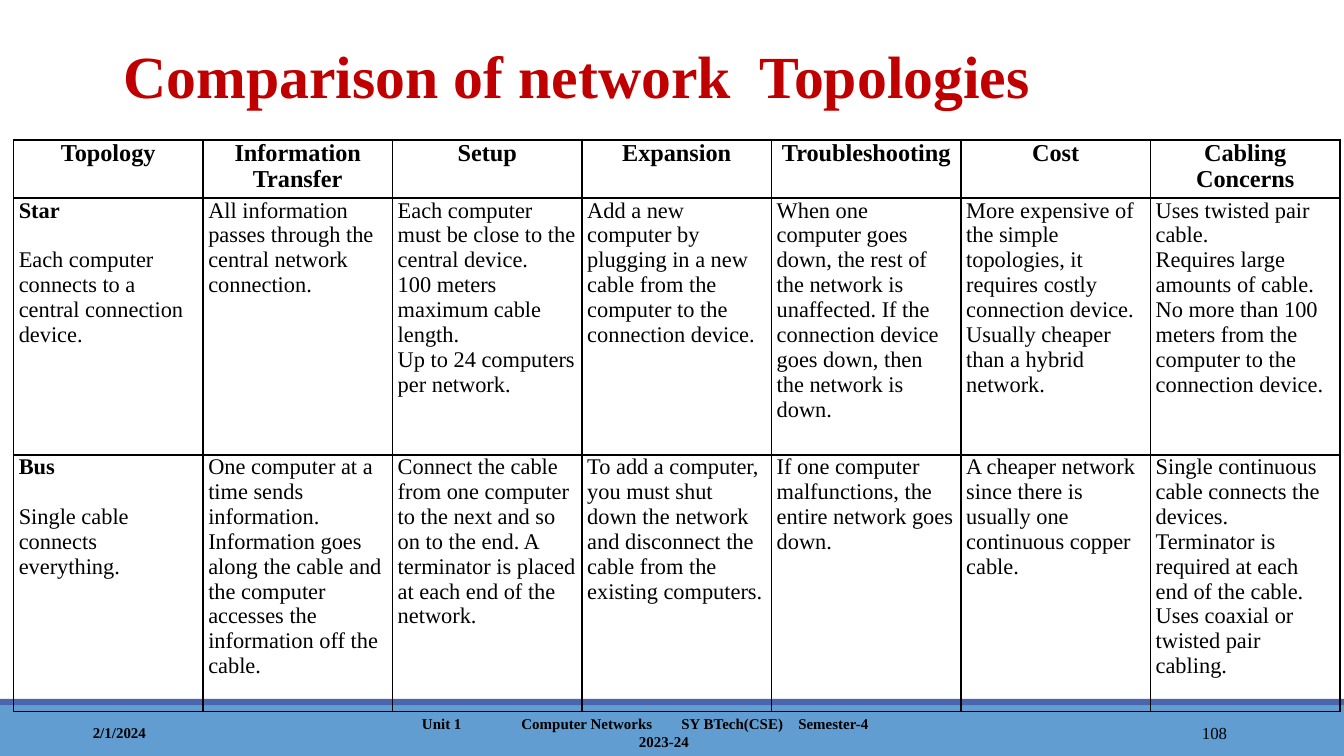
"""Build a slide that compares the star and bus network topologies."""
from dataclasses import dataclass

from lxml.etree import SubElement
from pptx import Presentation
from pptx.dml.color import RGBColor as Rgb
from pptx.enum.shapes import MSO_SHAPE as Kind
from pptx.enum.text import MSO_ANCHOR as Anchor, PP_ALIGN as Align
from pptx.oxml.ns import qn
from pptx.slide import Slide
from pptx.table import _Cell as Cell
from pptx.text.text import _Paragraph as Para
from pptx.util import Inches, Pt

HUES = {"band": "629DD1", "stripe": "4A66AC", "title": "C00000", "ink": "000000"}
FONT = "Times New Roman"
COLS = 7
WIDE = 1.41
TALL = [0.42, 1.91, 1.91]
TABS = [0.74, 1.93, 2.8]

HEADS = ["Topology", "Information Transfer", "Setup", "Expansion",
         "Troubleshooting", "Cost", "Cabling Concerns"]
STAR = [
    "Star\nEach computer connects to a central connection device.",
    "All information passes through the central network connection.",
    "Each computer must be close to the central device.\n"
    "100 meters maximum cable length.\nUp to 24 computers per network.",
    "Add a new computer by plugging in a new cable from the computer to the "
    "connection device.",
    "When one computer goes down, the rest of the network is unaffected. "
    "If the connection device goes down, then the network is down.",
    "More expensive of the simple topologies, it requires costly connection "
    "device. Usually cheaper than a hybrid network.",
    "Uses twisted pair cable.\nRequires large amounts of cable. No more than "
    "100 meters from the computer to the connection device.",
]
BUS = [
    "Bus\nSingle cable connects everything.",
    "One computer at a time sends information. Information goes along the "
    "cable and the computer accesses the information off the cable.",
    "Connect the cable from one computer to the next and so on to the end. "
    "A terminator is placed at each end of the network.",
    "To add a computer, you must shut down the network and disconnect the "
    "cable from the existing computers.",
    "If one computer malfunctions, the entire network goes down.",
    "A cheaper network since there is usually one continuous copper cable.",
    "Single continuous cable connects the devices.\nTerminator is required at "
    "each end of the cable.\nUses coaxial or twisted pair cabling.",
]


@dataclass
class Bar:
    """A full-width strip at the foot of the slide."""
    top: float
    high: float
    hue: str


@dataclass
class Label:
    """A text box and its look."""
    text: str
    left: float
    top: float
    wide: float
    high: float
    size: float
    hue: str = "ink"
    bold: bool = True
    align: Align = Align.LEFT
    anchor: Anchor = Anchor.MIDDLE


BARS = [Bar(5.25, 0.38, "band"), Bar(5.2, 0.05, "stripe")]
LABELS = [
    Label("108", 8.12, 5.3, 1.08, 0.3, 9, bold=False, align=Align.RIGHT),
    Label("Comparison of network  Topologies", 0.85, 0.25, 8.36, 0.93, 32,
          hue="title", anchor=Anchor.TOP),
    Label("2/1/2024", 0.62, 5.3, 2.25, 0.3, 8),
]
COURSE = Label("Unit 1\tComputer Networks\tSY BTech(CSE)\tSemester-4\n2023-24",
               3.07, 5.3, 3.74, 0.3, 8)


def style(para: Para, size: float, hue: str, bold: bool, align: Align) -> None:
    """Set the alignment of a paragraph and the font of its runs."""
    para.alignment = align
    for run in para.runs:
        font = run.font
        font.name, font.size, font.bold = FONT, Pt(size), bold
        font.color.rgb = Rgb.from_string(HUES[hue])


def add_bar(slide: Slide, bar: Bar) -> None:
    """Draw one strip."""
    rect = slide.shapes.add_shape(Kind.RECTANGLE, 0, Inches(bar.top),
                                  Inches(10), Inches(bar.high))
    rect.shadow.inherit = False
    rect.fill.solid()
    rect.fill.fore_color.rgb = Rgb.from_string(HUES[bar.hue])
    rect.line.fill.background()


def add_label(slide: Slide, label: Label) -> list[Para]:
    """Draw one text box and return its paragraphs."""
    box = slide.shapes.add_textbox(Inches(label.left), Inches(label.top),
                                   Inches(label.wide), Inches(label.high))
    frame = box.text_frame
    frame.word_wrap = True
    frame.vertical_anchor = label.anchor
    frame.margin_left = frame.margin_right = Inches(0.07)
    frame.margin_top = frame.margin_bottom = Inches(0.04)
    frame.text = label.text
    for para in frame.paragraphs:
        style(para, label.size, label.hue, label.bold, label.align)
    return list(frame.paragraphs)


def add_course(slide: Slide) -> None:
    """Draw the course line on tab stops, with the year centred below."""
    first, year = add_label(slide, COURSE)
    stops = SubElement(first._p.get_or_add_pPr(), qn("a:tabLst"))
    for stop in TABS:
        SubElement(stops, qn("a:tab"), pos=str(Inches(stop)), algn="l")
    year.alignment = Align.CENTER


def add_edges(cell: Cell) -> None:
    """Rule all four sides of a cell and clear its fill."""
    props = cell._tc.get_or_add_tcPr()
    for side in ("lnL", "lnR", "lnT", "lnB"):
        line = SubElement(props, qn(f"a:{side}"), w=str(Pt(1)))
        fill = SubElement(line, qn("a:solidFill"))
        SubElement(fill, qn("a:srgbClr"), val=HUES["ink"])
    cell.fill.background()


def fill_cell(cell: Cell, text: str, head: bool, name: bool) -> None:
    """Write one cell, with a bold first line if it names a topology."""
    cell.margin_left = cell.margin_right = Inches(0.04)
    cell.margin_top = cell.margin_bottom = 0
    cell.vertical_anchor = Anchor.TOP
    cell.text_frame.text = text
    for spot, para in enumerate(cell.text_frame.paragraphs):
        bold = head or (name and spot == 0)
        style(para, 13 if head else 12, "ink", bold,
              Align.CENTER if head else Align.LEFT)
        if name and spot:
            para.space_before = Pt(13.3)
    add_edges(cell)


def add_grid(slide: Slide) -> None:
    """Draw the comparison table."""
    rows = [HEADS, STAR, BUS]
    table = slide.shapes.add_table(len(rows), COLS, Inches(0.1), Inches(1.04),
                                   Inches(WIDE * COLS), Inches(sum(TALL))).table
    table.horz_banding = False
    for col in table.columns:
        col.width = Inches(WIDE)
    for row, texts in enumerate(rows):
        table.rows[row].height = Inches(TALL[row])
        for col, text in enumerate(texts):
            fill_cell(table.cell(row, col), text, row == 0, row > 0 and col == 0)


def main() -> None:
    """Build and save the slide."""
    deck = Presentation()
    deck.slide_width = Inches(10)
    deck.slide_height = deck.slide_width * 9 // 16
    slide = deck.slides.add_slide(deck.slide_layouts[6])
    for bar in BARS:
        add_bar(slide, bar)
    for label in LABELS:
        add_label(slide, label)
    add_course(slide)
    add_grid(slide)
    deck.save("out.pptx")


if __name__ == "__main__":
    main()
